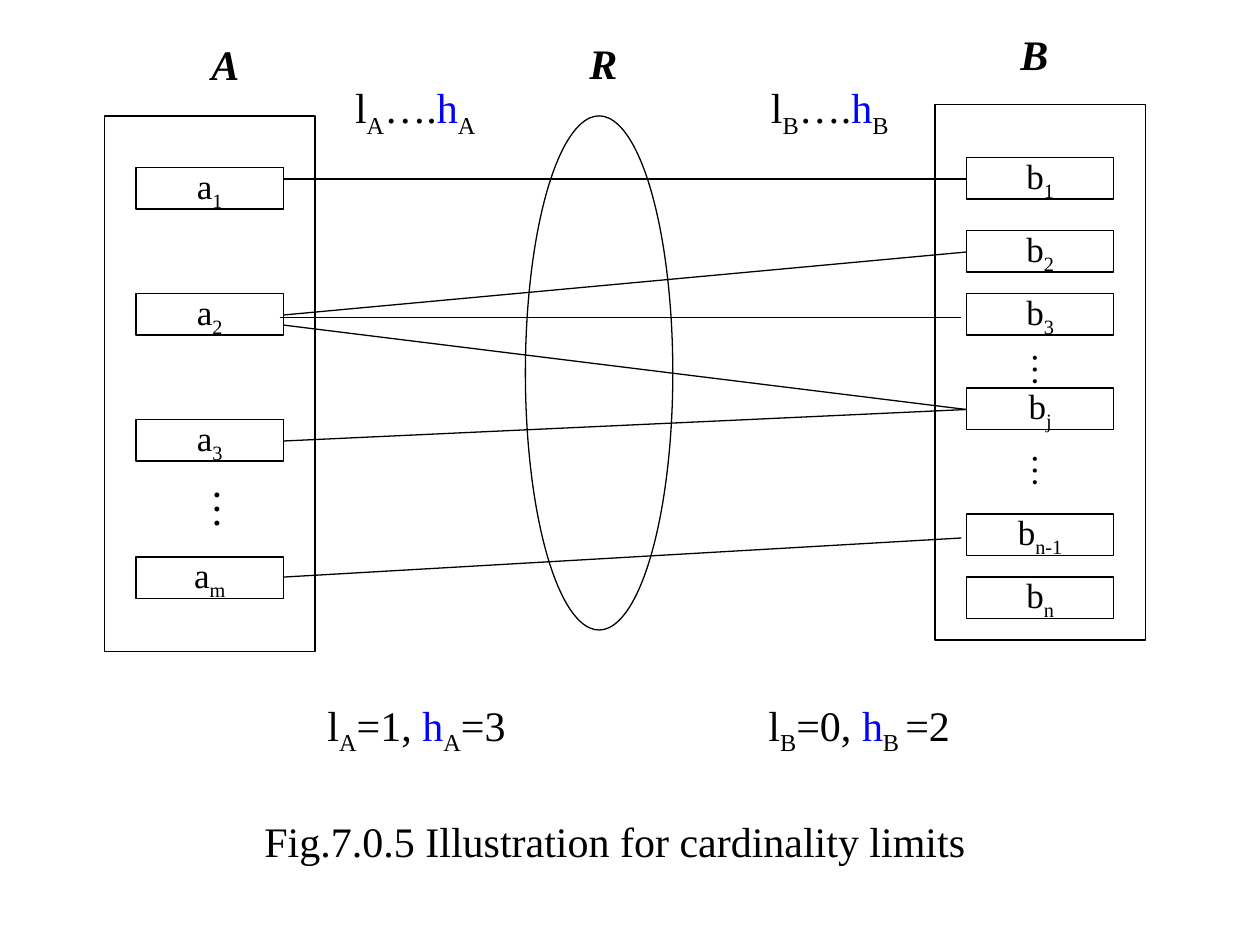
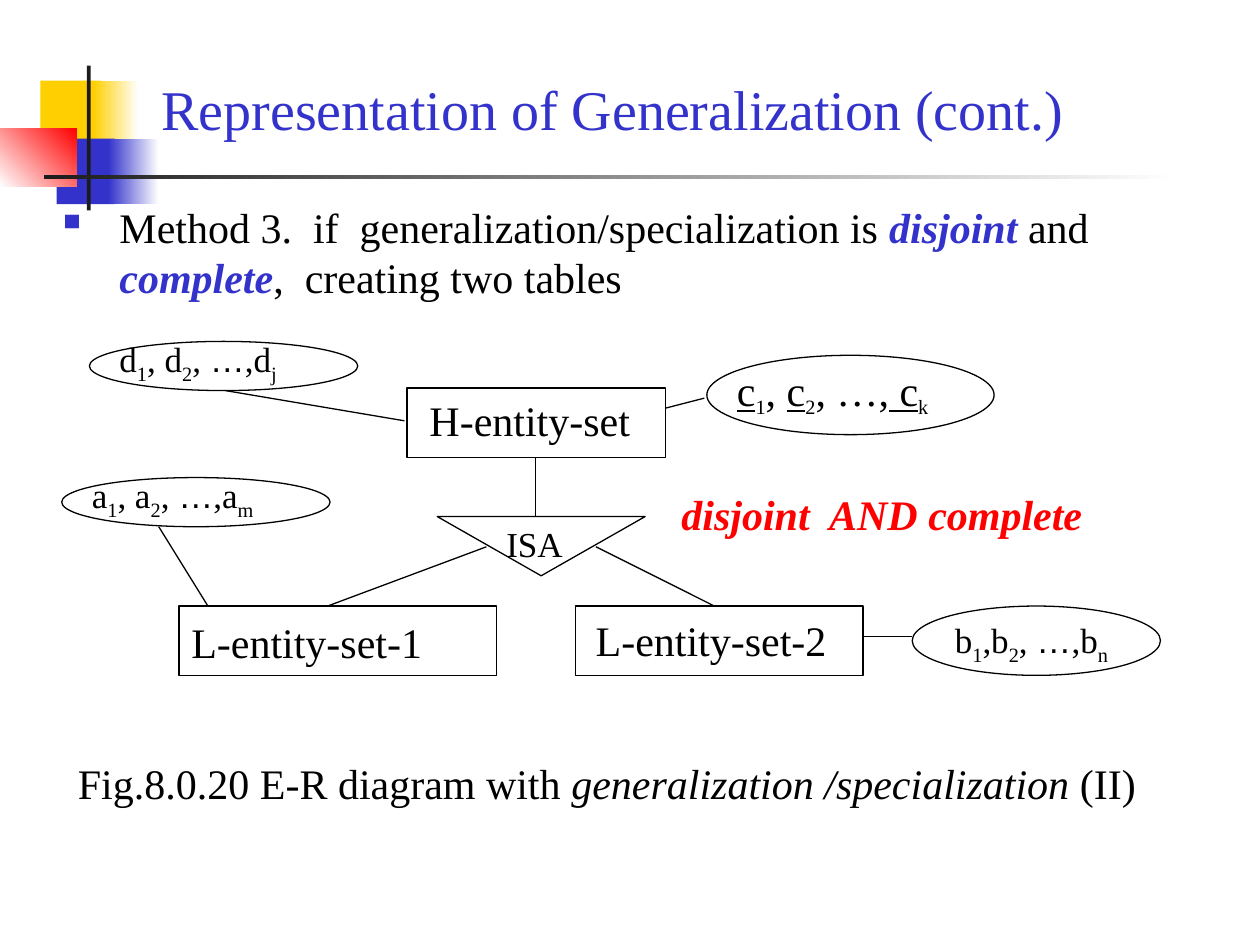
"""Build two entity-relationship slides: cardinality limits and generalization."""
import pptx
import pptx.dml.color
import pptx.enum.shapes
import pptx.enum.text
import pptx.oxml.ns
import pptx.util
from lxml import etree

PX = 9144
FONT = "Times New Roman"
COLORS = {"black": "000000", "white": "FFFFFF", "blue": "0000FF", "indigo": "3333CC",
          "red": "FF0000", "yellow": "FFCF01", "dark": "1C1C1C"}
STYLES = {
    "": {},
    "sub": {"baseline": -25},
    "key": {"underline": True},
    "keysub": {"baseline": -25, "size": 20},
    "high": {"color": "blue"},
    "term": {"color": "indigo", "bold": True, "italic": True},
    "italic": {"italic": True},
    "dots": {"font": "Arial"},
}
SHAPE = pptx.enum.shapes.MSO_SHAPE
CENTER = pptx.enum.text.PP_ALIGN.CENTER

BOX_W, BOX_H = 117, 33
ENTITY_SETS = [
    {"frame": (83, 92, 167, 425), "box_x": 108, "letter": "a",
     "boxes": [("1", 133), ("2", 233), ("3", 333), ("m", 442)]},
    {"frame": (742, 83, 167, 425), "box_x": 767, "letter": "b",
     "boxes": [("1", 125), ("2", 183), ("3", 233), ("j", 308), ("n-1", 408), ("n", 458)]},
]
RELATION = (417, 92, 117, 408)
PAIRS = [(225, 142, 767, 142), (225, 250, 767, 200), (222, 252, 763, 252),
         (225, 258, 767, 325), (225, 350, 767, 325), (225, 458, 763, 427)]
SET_NAMES = [("A", 158, 26), ("R", 458, 25), ("B", 800, 18)]
VERTICAL_DOTS = [((149, 378, 60, 43), 24), ((800, 270, 53, 38), 20), ((800, 350, 53, 38), 20)]
LIMITS = [
    ("A", (272, 60, 120, 50), (250, 550, 165, 50), "=1, ", "A", "=3"),
    ("B", (602, 60, 117, 50), (600, 550, 169, 50), "=0, ", "B ", "=2"),
]
LIMITS_CAPTION = ("Fig.7.0.5 Illustration for cardinality limits", (200, 642, 608, 50))

MOTIF = [
    ((32, 64, 48, 52), "yellow", None, 0),
    ((74, 64, 36, 52), "yellow", "white", 0),
    ((45, 110, 46, 52), "indigo", None, 0),
    ((86, 110, 40, 52), "indigo", "white", 0),
    ((0, 102, 61, 46), "white", "red", 45),
    ((69, 52, 3, 115), "dark", None, 0),
    ((35, 139, 900, 3), "dark", "white", 0),
]
TITLE = ("Representation of Generalization (cont.)", (95, 54, 783, 64))
METHOD = [("Method 3.  if  generalization/specialization is ", ""), ("disjoint ", "term"),
          ("and ", ""), ("complete", "term"), (",  creating two tables", "")]
METHOD_AT = (35, 155, 903, 91)
CONSTRAINT = ("disjoint  AND complete", (531, 383, 339, 50))
ER_CAPTION = [("Fig.8.0.20 E-R diagram with ", ""),
              ("generalization /specialization", "italic"), (" (II)", "")]
ER_CAPTION_AT = (52, 596, 867, 50)


def attributes(letter, last, gap=", "):
    """Return the runs of an attribute list such as a1, a2, …,am."""
    return [(letter, ""), ("1", "sub"), (gap + letter, ""), ("2", "sub"), (", ", ""),
            ("…", "dots"), ("," + letter, ""), (last, "sub")]


KEYS = [("c", "key"), ("1", "keysub"), (", ", ""), ("c", "key"), ("2", "keysub"),
        (", …,", ""), (" c", "key"), ("k", "keysub")]
ER_NODES = [
    (SHAPE.RECTANGLE, (323, 308, 205, 55), "H-entity-set", (331, 308, 179, 50), 24),
    (SHAPE.RECTANGLE, (142, 481, 252, 55), "L-entity-set-1", (142, 484, 203, 50), 24),
    (SHAPE.RECTANGLE, (457, 481, 228, 55), "L-entity-set-2", (463, 483, 203, 50), 24),
    (SHAPE.FLOWCHART_MERGE, (347, 410, 165, 47), "ISA", (392, 410, 65, 43), 20),
    (SHAPE.OVAL, (561, 282, 228, 63), KEYS, (575, 284, 175, 50), 24),
    (SHAPE.OVAL, (724, 481, 197, 55), attributes("b", "n", ","), (748, 486, 144, 43), 20),
    (SHAPE.OVAL, (49, 379, 213, 39), attributes("a", "m"), (63, 371, 152, 43), 20),
    (SHAPE.OVAL, (71, 271, 213, 39), attributes("d", "j"), (85, 263, 147, 43), 20),
]
ER_LINKS = [(425, 363, 425, 410), (386, 434, 260, 481), (473, 434, 567, 481),
            (528, 324, 559, 316), (685, 505, 724, 505), (126, 418, 165, 481),
            (179, 310, 321, 334)]


def rgb(name):
    """Return the named colour."""
    return pptx.dml.color.RGBColor.from_string(COLORS[name])


def emu(lengths):
    """Turn px lengths into EMU."""
    return [n * PX for n in lengths]


def write(tf, text, align=None, wrap=False, **base):
    """Fill the first paragraph with a string or with (text, style) runs."""
    tf.word_wrap = wrap
    p = tf.paragraphs[0]
    if align is not None:
        p.alignment = align
    for words, style in [(text, "")] if isinstance(text, str) else text:
        fmt = {"size": 24, "color": "black", "font": FONT, **base, **STYLES[style]}
        r = p.add_run()
        r.text = words
        r.font.name = fmt["font"]
        r.font.size = pptx.util.Pt(fmt["size"])
        r.font.color.rgb = rgb(fmt["color"])
        r.font.bold = fmt.get("bold")
        r.font.italic = fmt.get("italic")
        r.font.underline = fmt.get("underline")
        if "baseline" in fmt:
            r._r.get_or_add_rPr().set("baseline", str(fmt["baseline"] * 1000))
    return p


def add_text(s, text, at, vertical=False, **fmt):
    """Add a text box that grows with its text."""
    tf = s.shapes.add_textbox(*emu(at)).text_frame
    tf.auto_size = pptx.enum.text.MSO_AUTO_SIZE.SHAPE_TO_FIT_TEXT
    if vertical:
        tf._txBody.bodyPr.set("vert", "eaVert")
    return write(tf, text, **fmt)


def add_outline(s, kind, at):
    """Add an unfilled shape with a thin black line."""
    sp = s.shapes.add_shape(kind, *emu(at))
    sp.shadow.inherit = False
    sp.fill.background()
    sp.line.color.rgb = rgb("black")
    sp.line.width = pptx.util.Pt(0.75)
    return sp


def add_line(s, ends):
    """Add a thin black straight line."""
    line = s.shapes.add_connector(pptx.enum.shapes.MSO_CONNECTOR.STRAIGHT, *emu(ends))
    line.line.color.rgb = rgb("black")
    line.line.width = pptx.util.Pt(0.75)
    etree.SubElement(line._element.spPr, pptx.oxml.ns.qn("a:effectLst"))


def add_motif(s):
    """Add the coloured squares and rules behind the title."""
    for at, start, end, angle in MOTIF:
        sp = s.shapes.add_shape(SHAPE.RECTANGLE, *emu(at))
        sp.shadow.inherit = False
        sp.line.fill.background()
        if end:
            sp.fill.gradient()
            sp.fill.gradient_angle = angle
            for stop, name in zip(sp.fill.gradient_stops, (start, end)):
                stop.color.rgb = rgb(name)
        else:
            sp.fill.solid()
            sp.fill.fore_color.rgb = rgb(start)


def add_bullet(p, indent):
    """Give a paragraph a square bullet with a hanging indent."""
    pPr = p._p.get_or_add_pPr()
    pPr.set("marL", str(indent * PX))
    pPr.set("indent", str(-indent * PX))
    color = etree.SubElement(pPr, pptx.oxml.ns.qn("a:buClr"))
    etree.SubElement(color, pptx.oxml.ns.qn("a:srgbClr"), val=COLORS["indigo"])
    etree.SubElement(pPr, pptx.oxml.ns.qn("a:buChar"), char="▪")


def cardinality_slide(s):
    """Draw the two entity sets and the relation between them."""
    for group in ENTITY_SETS:
        add_outline(s, SHAPE.RECTANGLE, group["frame"])
        for index, y in group["boxes"]:
            box = add_outline(s, SHAPE.RECTANGLE, (group["box_x"], y, BOX_W, BOX_H))
            write(box.text_frame, [(group["letter"], ""), (index, "sub")], CENTER, size=20)
    add_outline(s, SHAPE.OVAL, RELATION)
    for ends in PAIRS:
        add_line(s, ends)
    for name, x, y in SET_NAMES:
        add_text(s, name, (x, y, 42, 50), bold=True, italic=True)
    for at, size in VERTICAL_DOTS:
        add_text(s, "…", at, vertical=True, size=size)
    for name, range_at, values_at, low, high_sub, high in LIMITS:
        lower = [("l", ""), (name, "sub")]
        add_text(s, lower + [("….", ""), ("h", "high"), (name, "sub")], range_at)
        add_text(s, lower + [(low, ""), ("h", "high"), (high_sub, "sub"), (high, "")], values_at)
    add_text(s, *LIMITS_CAPTION, wrap=True)


def generalization_slide(s):
    """Draw the title, the method and the E-R diagram."""
    add_motif(s)
    add_text(s, *TITLE, align=CENTER, wrap=True, size=32, color="indigo")
    add_bullet(add_text(s, METHOD, METHOD_AT, wrap=True), 50)
    for kind, at, text, text_at, size in ER_NODES:
        add_outline(s, kind, at)
        add_text(s, text, text_at, size=size)
    for ends in ER_LINKS:
        add_line(s, ends)
    add_text(s, *CONSTRAINT, color="red", bold=True, italic=True)
    add_text(s, ER_CAPTION, ER_CAPTION_AT)


def main():
    """Build and save the presentation."""
    prs = pptx.Presentation()
    prs.slide_width, prs.slide_height = emu((1000, 750))
    for build in (cardinality_slide, generalization_slide):
        build(prs.slides.add_slide(prs.slide_layouts[6]))
    prs.save("out.pptx")


if __name__ == "__main__":
    main()
